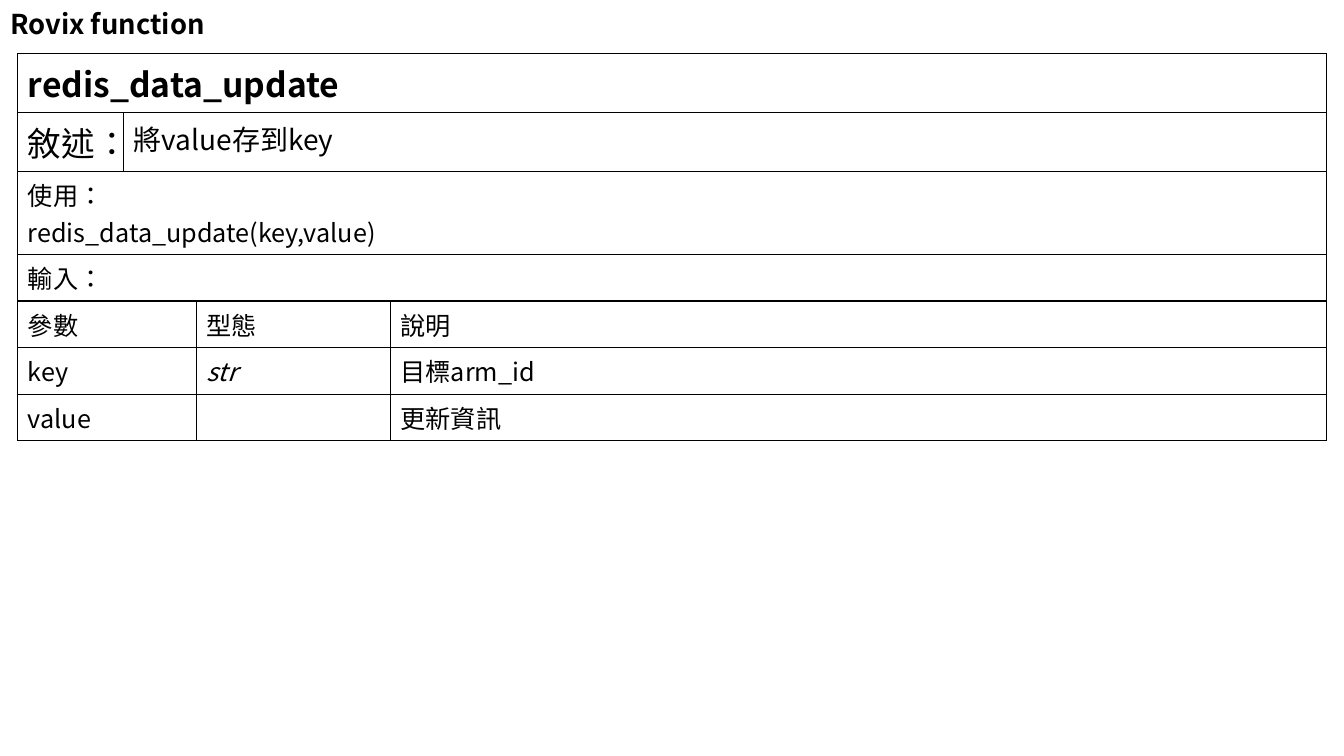
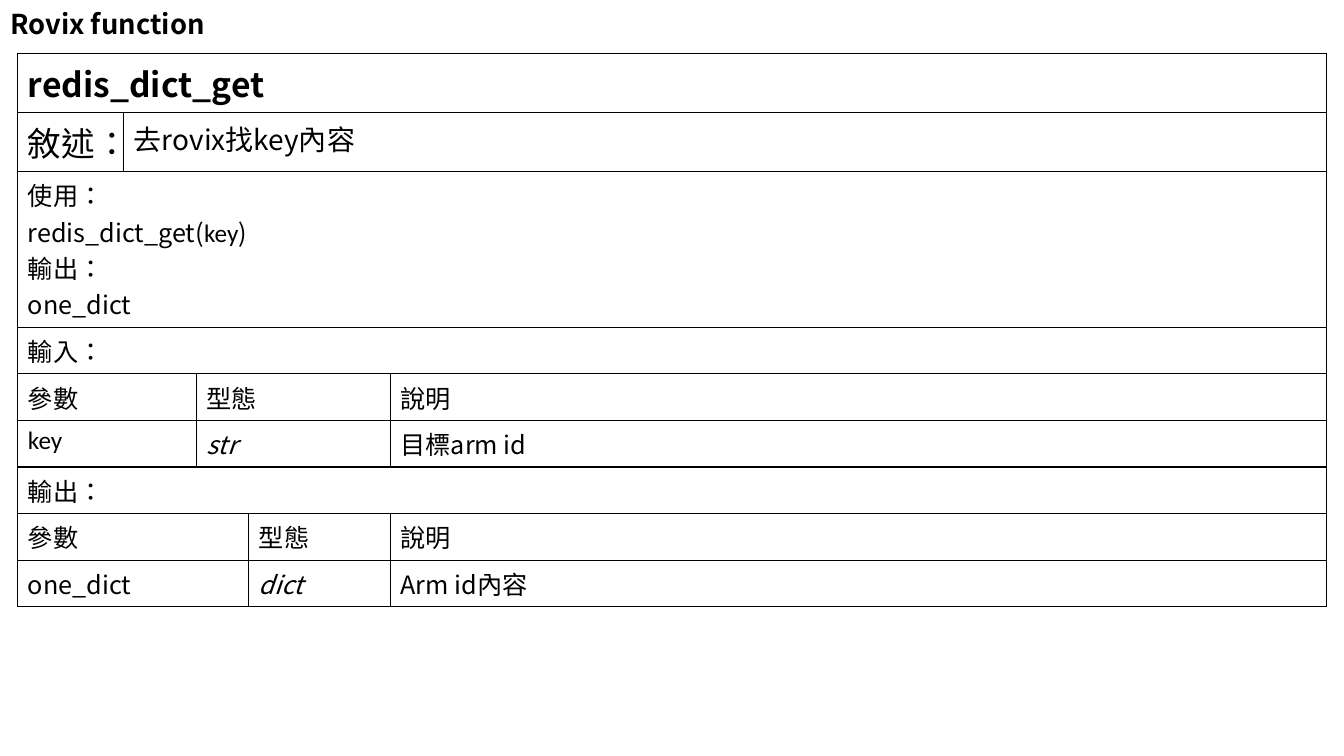
from dataclasses import dataclass

import lxml.etree
import pptx
import pptx.dml.color
import pptx.enum.lang
import pptx.enum.text
import pptx.oxml.ns
import pptx.presentation
import pptx.slide
import pptx.table
import pptx.text.text
import pptx.util
from pptx.util import Cm, Pt

# Shared style
MAIN_FONT = "Noto Sans CJK TC"
KEY_FONT = "Calibri"
INK = "000000"
PAPER = "FFFFFF"
NAME_SIZE, SUMMARY_SIZE, BODY_SIZE = 24, 20, 18
TITLE = "Rovix function"
ROW_HEIGHT = 0.66
HEADINGS = ("參數", "型態", "說明")
LANGUAGE = pptx.enum.lang.MSO_LANGUAGE_ID.TRADITIONAL_CHINESE


@dataclass(frozen=True)
class Span:
    text: str
    font: str = MAIN_FONT


@dataclass(frozen=True)
class Entry:
    """One table cell: its lines, the columns it covers and its style."""
    lines: tuple[tuple[Span, ...], ...]
    columns: int = 1
    size: int = BODY_SIZE
    bold: bool = False
    italic: bool = False


@dataclass(frozen=True)
class Parameter:
    name: Span
    kind: str
    meaning: str


@dataclass(frozen=True)
class Section:
    """A parameter list; spans are the columns under each heading."""
    label: str
    spans: tuple[int, int, int]
    parameters: tuple[Parameter, ...]


@dataclass(frozen=True)
class FunctionPage:
    name: str
    summary: str
    usage: tuple[tuple[Span, ...], ...]
    sections: tuple[Section, ...]
    widths: tuple[float, ...]


# Content
PAGES = (
    FunctionPage(
        name="redis_data_update",
        summary="將value存到key",
        usage=((Span("使用："),), (Span("redis_data_update(key,value)"),)),
        sections=(
            Section("輸入：", (2, 1, 1), (
                Parameter(Span("key"), "str", "目標arm_id"),
                Parameter(Span("value"), "", "更新資訊"),
            )),
        ),
        widths=(2.67, 1.83, 4.89, 23.58),
    ),
    FunctionPage(
        name="redis_dict_get",
        summary="去rovix找key內容",
        usage=(
            (Span("使用："),),
            (Span("redis_dict_get("), Span("key", KEY_FONT), Span(")")),
            (Span("輸出："),),
            (Span("one_dict"),),
        ),
        sections=(
            Section("輸入：", (2, 2, 1), (
                Parameter(Span("key", KEY_FONT), "str", "目標arm id"),
            )),
            Section("輸出：", (3, 1, 1), (
                Parameter(Span("one_dict"), "dict", "Arm id內容"),
            )),
        ),
        widths=(2.67, 1.83, 1.32, 3.57, 23.58),
    ),
)


def color(value: str) -> pptx.dml.color.RGBColor:
    return pptx.dml.color.RGBColor.from_string(value)


def style_paragraph(para: pptx.text.text._Paragraph, name: str, size: float,
                    bold: bool = False, italic: bool = False) -> None:
    font = para.font
    font.name, font.size, font.bold, font.italic = name, Pt(size), bold, italic
    font.color.rgb = color(INK)
    # East Asian characters take the main font
    defaults = para._p.pPr.find(pptx.oxml.ns.qn("a:defRPr"))
    east_asian = lxml.etree.SubElement(defaults, pptx.oxml.ns.qn("a:ea"))
    east_asian.set("typeface", MAIN_FONT)


def draw_border(cell: pptx.table._Cell) -> None:
    properties = cell._tc.get_or_add_tcPr()
    for position, side in enumerate(("lnL", "lnR", "lnT", "lnB")):
        line = lxml.etree.Element(pptx.oxml.ns.qn(f"a:{side}"), w=str(Pt(1)))
        fill = lxml.etree.SubElement(line, pptx.oxml.ns.qn("a:solidFill"))
        lxml.etree.SubElement(fill, pptx.oxml.ns.qn("a:srgbClr"), val=INK)
        properties.insert(position, line)


def write_entry(cell: pptx.table._Cell, entry: Entry) -> None:
    frame = cell.text_frame
    for index, line in enumerate(entry.lines):
        para = frame.add_paragraph() if index else frame.paragraphs[0]
        base_font = line[0].font
        style_paragraph(para, base_font, entry.size, entry.bold, entry.italic)
        for span in line:
            if not span.text:
                continue
            run = para.add_run()
            run.text = span.text
            # The language selects the centred full-width colon
            run.font.language_id = LANGUAGE
            if span.font != base_font:
                run.font.name = span.font


def plain(text: str, columns: int = 1, **style) -> Entry:
    return Entry(((Span(text),),), columns, **style)


def table_rows(page: FunctionPage) -> list[list[Entry]]:
    full = len(page.widths)
    rows = [
        [plain(page.name, full, size=NAME_SIZE, bold=True)],
        [plain("敘述：", size=NAME_SIZE),
         plain(page.summary, full - 1, size=SUMMARY_SIZE)],
        [Entry(page.usage, full)],
    ]
    for section in page.sections:
        name_span, kind_span, meaning_span = section.spans
        rows.append([plain(section.label, full)])
        rows.append([plain(text, columns)
                     for text, columns in zip(HEADINGS, section.spans)])
        for parameter in section.parameters:
            rows.append([
                Entry(((parameter.name,),), name_span),
                plain(parameter.kind, kind_span, italic=True),
                plain(parameter.meaning, meaning_span),
            ])
    return rows


def add_function_table(slide: pptx.slide.Slide, page: FunctionPage) -> None:
    rows = table_rows(page)
    table = slide.shapes.add_table(
        len(rows), len(page.widths), Cm(0.45), Cm(1.35),
        Cm(sum(page.widths)), Cm(ROW_HEIGHT * len(rows))).table
    table.first_row = False
    table.horz_banding = False
    for column, width in zip(table.columns, page.widths):
        column.width = Cm(width)
    for cell in table.iter_cells():
        cell.fill.solid()
        cell.fill.fore_color.rgb = color(PAPER)
        draw_border(cell)
    for row_index, entries in enumerate(rows):
        table.rows[row_index].height = Cm(ROW_HEIGHT)
        start = 0
        for entry in entries:
            cell = table.cell(row_index, start)
            if entry.columns > 1:
                cell.merge(table.cell(row_index, start + entry.columns - 1))
            write_entry(cell, entry)
            start += entry.columns


def format_title(slide: pptx.slide.Slide) -> None:
    title = slide.shapes.title
    title.left, title.top = Cm(0), Cm(0.05)
    title.width, title.height = Cm(6.27), Cm(1.19)
    frame = title.text_frame
    frame.text = TITLE
    frame.word_wrap = True
    frame.auto_size = pptx.enum.text.MSO_AUTO_SIZE.NONE
    frame.vertical_anchor = pptx.enum.text.MSO_ANCHOR.MIDDLE
    para = frame.paragraphs[0]
    para.alignment = pptx.enum.text.PP_ALIGN.LEFT
    para.line_spacing = 0.9
    style_paragraph(para, MAIN_FONT, 19.5, bold=True)


def add_page(deck: pptx.presentation.Presentation, page: FunctionPage) -> None:
    title_only = deck.slide_layouts.get_by_name("Title Only")
    slide = deck.slides.add_slide(title_only)
    format_title(slide)
    add_function_table(slide, page)


# Build the deck
deck = pptx.Presentation()
deck.slide_width, deck.slide_height = Cm(33.87), Cm(19.05)
for function_page in PAGES:
    add_page(deck, function_page)
deck.save("out.pptx")
